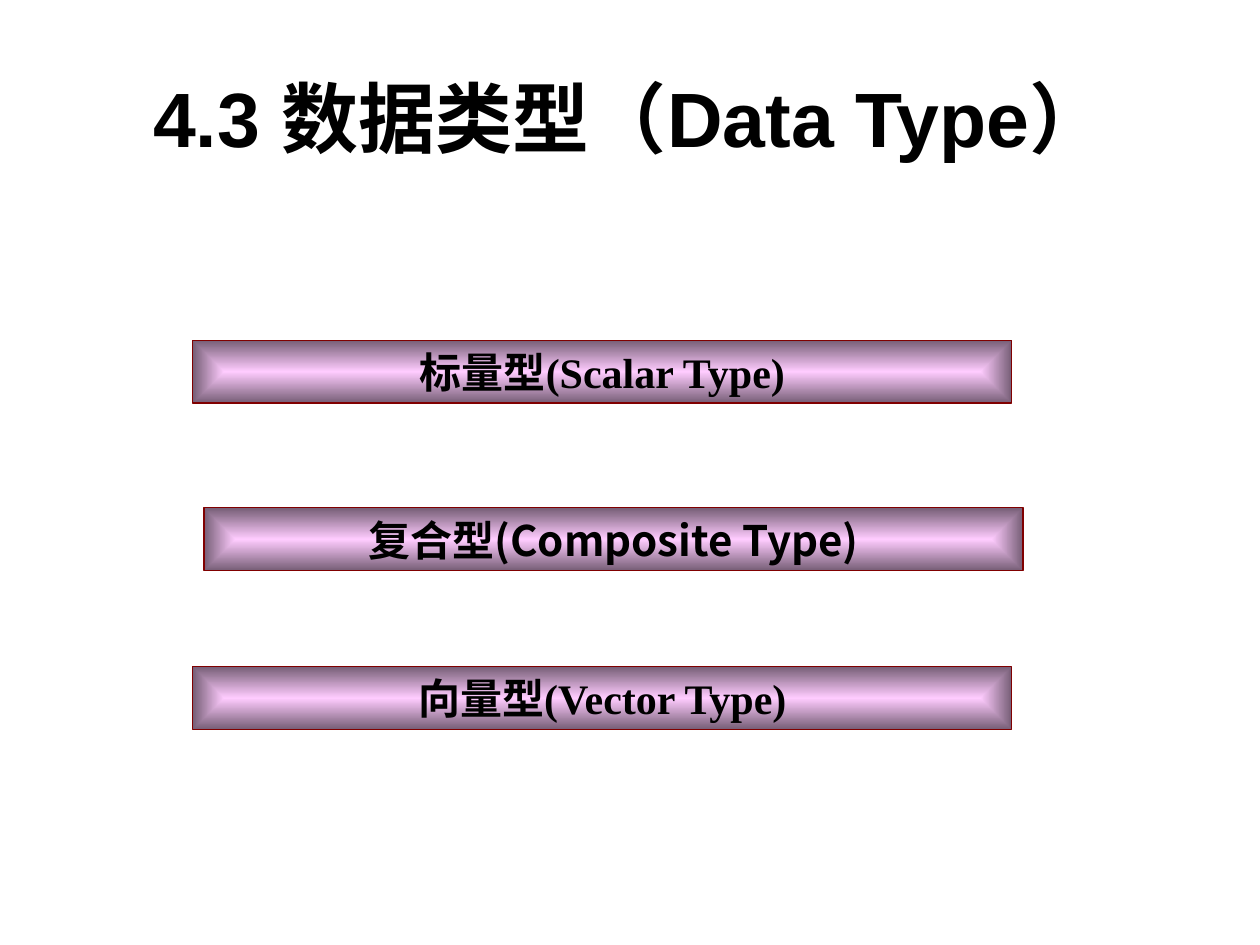
"""Build the data type overview slide."""
from typing import NamedTuple

from lxml import etree
from pptx import Presentation
from pptx.dml.color import RGBColor
from pptx.enum.shapes import MSO_SHAPE
from pptx.enum.text import MSO_ANCHOR, MSO_AUTO_SIZE, PP_ALIGN
from pptx.oxml.ns import qn
from pptx.util import Pt

RECTANGLE = MSO_SHAPE.RECTANGLE
TOP, MIDDLE = MSO_ANCHOR.TOP, MSO_ANCHOR.MIDDLE
CENTER = PP_ALIGN.CENTER
GROW, FIXED = MSO_AUTO_SIZE.SHAPE_TO_FIT_TEXT, MSO_AUTO_SIZE.NONE
ASIAN_FONT = "Noto Sans CJK SC"
BAR_WIDTH, BAR_HEIGHT = 468, 36
BAR_GRADIENT = ("FFCCFF", "765E76")
TITLE_ONLY = 5


class Bar(NamedTuple):
    left: float
    top: float
    text: str
    font: str


BARS = (
    Bar(110.2, 194.4, "标量型(Scalar Type)", "Times New Roman"),
    Bar(116.6, 290.2, "复合型(Composite Type)", ASIAN_FONT),
    Bar(110.2, 380.9, "向量型(Vector Type)", "Times New Roman"),
)


def color(value: str) -> RGBColor:
    return RGBColor.from_string(value)


def write_text(shape, text: str, font: str, size: float, frame_format: dict) -> None:
    frame = shape.text_frame
    for name, value in frame_format.items():
        setattr(frame, name, value)
    paragraph = frame.paragraphs[0]
    paragraph.alignment = CENTER
    run = paragraph.add_run()
    run.text = text
    for name, value in {"name": font, "size": Pt(size), "bold": True}.items():
        setattr(run.font, name, value)
    run.font.color.rgb = color("000000")
    properties = run._r.get_or_add_rPr()
    etree.SubElement(properties, qn("a:ea"), typeface=ASIAN_FONT)


def fill_from_center(shape) -> None:
    shape.fill.gradient()
    for stop, value in zip(shape.fill.gradient_stops, BAR_GRADIENT):
        stop.color.rgb = color(value)
    gradient = shape._element.spPr.find(qn("a:gradFill"))
    linear = gradient.find(qn("a:lin"))
    rectangular = etree.Element(qn("a:path"), {"path": "rect"})
    center = {side: "50000" for side in "ltrb"}
    etree.SubElement(rectangular, qn("a:fillToRect"), center)
    gradient.replace(linear, rectangular)


def draw_bar(slide, bar: Bar) -> None:
    shape = slide.shapes.add_shape(
        RECTANGLE, Pt(bar.left), Pt(bar.top), Pt(BAR_WIDTH), Pt(BAR_HEIGHT)
    )
    shape.shadow.inherit = False
    fill_from_center(shape)
    shape.line.color.rgb = color("800000")
    shape.line.width = Pt(0.75)
    frame_format = {"word_wrap": True, "vertical_anchor": TOP, "auto_size": GROW}
    write_text(shape, bar.text, bar.font, 24, frame_format)
    shape.text_frame.paragraphs[0].space_before = Pt(15)


def draw_title(slide) -> None:
    title = slide.shapes.title
    bounds = {"left": 36, "top": 21.6, "width": 648, "height": 90}
    for name, value in bounds.items():
        setattr(title, name, Pt(value))
    frame_format = {"word_wrap": True, "vertical_anchor": MIDDLE, "auto_size": FIXED}
    write_text(title, "4.3 数据类型（Data Type）", "Arial", 44, frame_format)


def main() -> None:
    presentation = Presentation()
    presentation.slide_width, presentation.slide_height = Pt(720), Pt(540)
    slide = presentation.slides.add_slide(presentation.slide_layouts[TITLE_ONLY])
    draw_title(slide)
    for bar in BARS:
        draw_bar(slide, bar)
    presentation.save("out.pptx")


if __name__ == "__main__":
    main()
